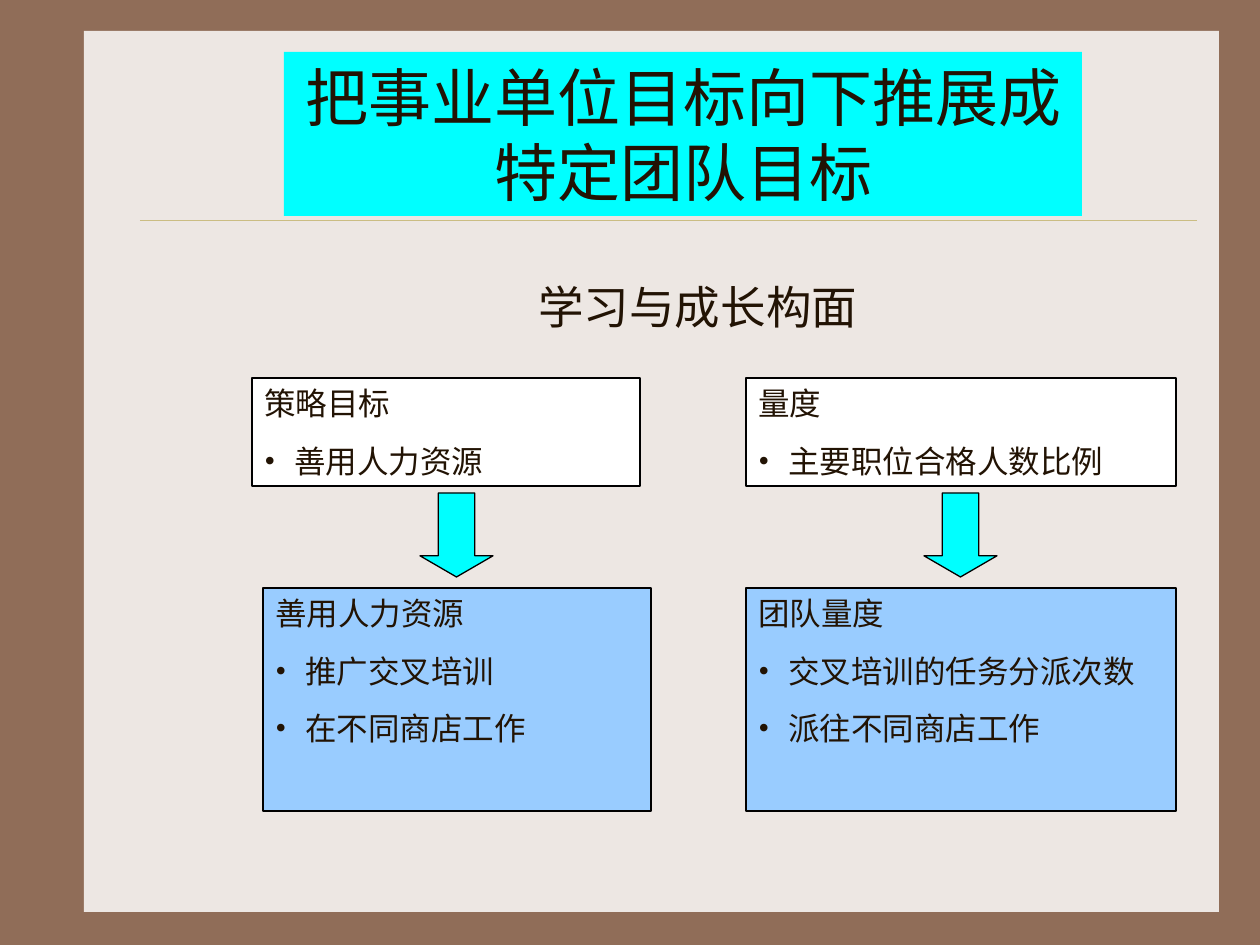
"""Build a slide that cascades business-unit goals down to team goals."""
from lxml.etree import SubElement
from pptx import Presentation
from pptx.dml.color import RGBColor
from pptx.enum.shapes import MSO_CONNECTOR as CONN, MSO_SHAPE as SHAPE
from pptx.enum.text import MSO_ANCHOR as ANCHOR, PP_ALIGN as ALIGN
from pptx.oxml.ns import qn
from pptx.util import Emu, Pt

BROWN = RGBColor(0x90, 0x6D, 0x58)
PAPER = RGBColor(0xED, 0xE7, 0xE3)
RULE = RGBColor(0xCB, 0xBD, 0x83)
CYAN = RGBColor(0x00, 0xFF, 0xFF)
WHITE = RGBColor(0xFF, 0xFF, 0xFF)
BLUE = RGBColor(0x99, 0xCC, 0xFF)
BLACK = RGBColor(0x00, 0x00, 0x00)
INK = RGBColor(0x22, 0x13, 0x04)
SCALE = 914400 / 126


def px(n):
    return Emu(round(n * SCALE))


def add_block(s, kind, box, fill=None, line=None, lines=(), size=18, align=ALIGN.LEFT):
    sp = s.shapes.add_shape(kind, *map(px, box))
    sp.shadow.inherit = False
    for fmt, color in ((sp.fill, fill), (sp.line.fill, line)):
        if color is None:
            fmt.background()
        else:
            fmt.solid()
            fmt.fore_color.rgb = color
    if line is not None:
        sp.line.width = Pt(0.75)
    tf = sp.text_frame
    tf.word_wrap = True
    tf.vertical_anchor = ANCHOR.TOP
    for i, text in enumerate(lines):
        p = tf.paragraphs[0] if i == 0 else tf.add_paragraph()
        p.alignment = align
        if i:
            p.space_before = Pt(11.2)
            pPr = p._p.get_or_add_pPr()
            pPr.set("marL", str(px(30)))
            pPr.set("indent", str(-px(30)))
            SubElement(pPr, qn("a:buFont")).set("typeface", "Times New Roman")
            SubElement(pPr, qn("a:buChar")).set("char", "•")
        r = p.add_run()
        r.text = text
        r.font.color.rgb = INK
        for key, value in {"name": "Times New Roman", "size": Pt(size)}.items():
            setattr(r.font, key, value)
    return sp


prs = Presentation()
prs.slide_width, prs.slide_height = px(1260), px(945)
s = prs.slides.add_slide(prs.slide_layouts[6])
s.background.fill.solid()
s.background.fill.fore_color.rgb = BROWN

add_block(s, SHAPE.RECTANGLE, (84, 31, 1135, 881), PAPER)
rule = s.shapes.add_connector(CONN.STRAIGHT, px(140), px(220), px(1197), px(220))
rule.line.color.rgb = RULE
rule.line.width = Pt(0.25)
SubElement(rule._element.spPr, qn("a:effectLst"))

add_block(s, SHAPE.RECTANGLE, (284, 52, 798, 164), CYAN,
          lines=["把事业单位目标向下推展成特定团队目标"], size=36, align=ALIGN.CENTER)
add_block(s, SHAPE.RECTANGLE, (514, 273, 368, 68),
          lines=["学习与成长构面"], size=26, align=ALIGN.CENTER)

boxes = [
    ((252, 378, 388, 108), WHITE, ["策略目标", "善用人力资源"]),
    ((746, 378, 430, 108), WHITE, ["量度", "主要职位合格人数比例"]),
    ((263, 588, 388, 223), BLUE, ["善用人力资源", "推广交叉培训", "在不同商店工作"]),
    ((746, 588, 430, 223), BLUE, ["团队量度", "交叉培训的任务分派次数", "派往不同商店工作"]),
]
for box, fill, lines in boxes:
    add_block(s, SHAPE.RECTANGLE, box, fill, BLACK, lines)

for left in (420, 924):
    arrow = add_block(s, SHAPE.DOWN_ARROW, (left, 493, 73, 84), CYAN, BLACK)
    arrow.adjustments[0] = 0.5
    arrow.adjustments[1] = 0.29

prs.save("out.pptx")
